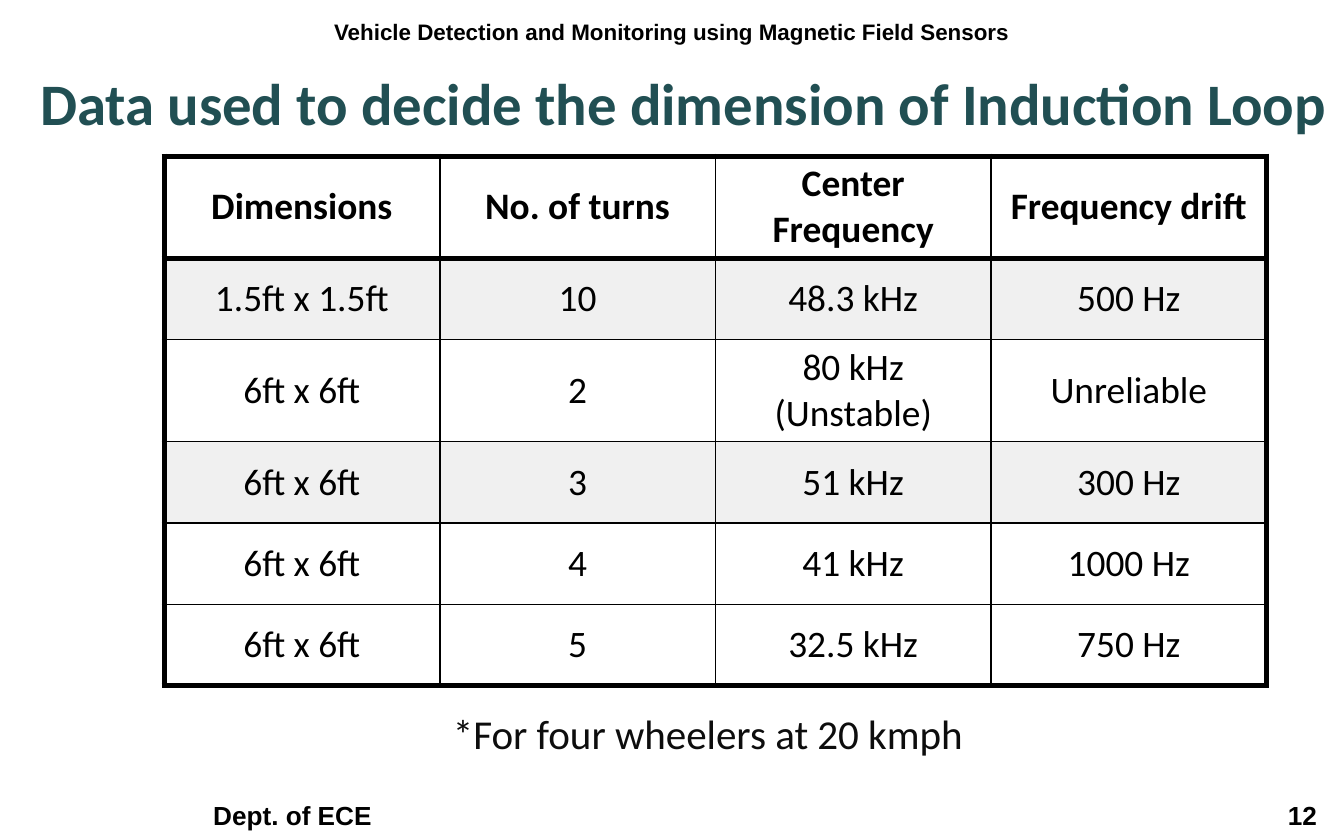
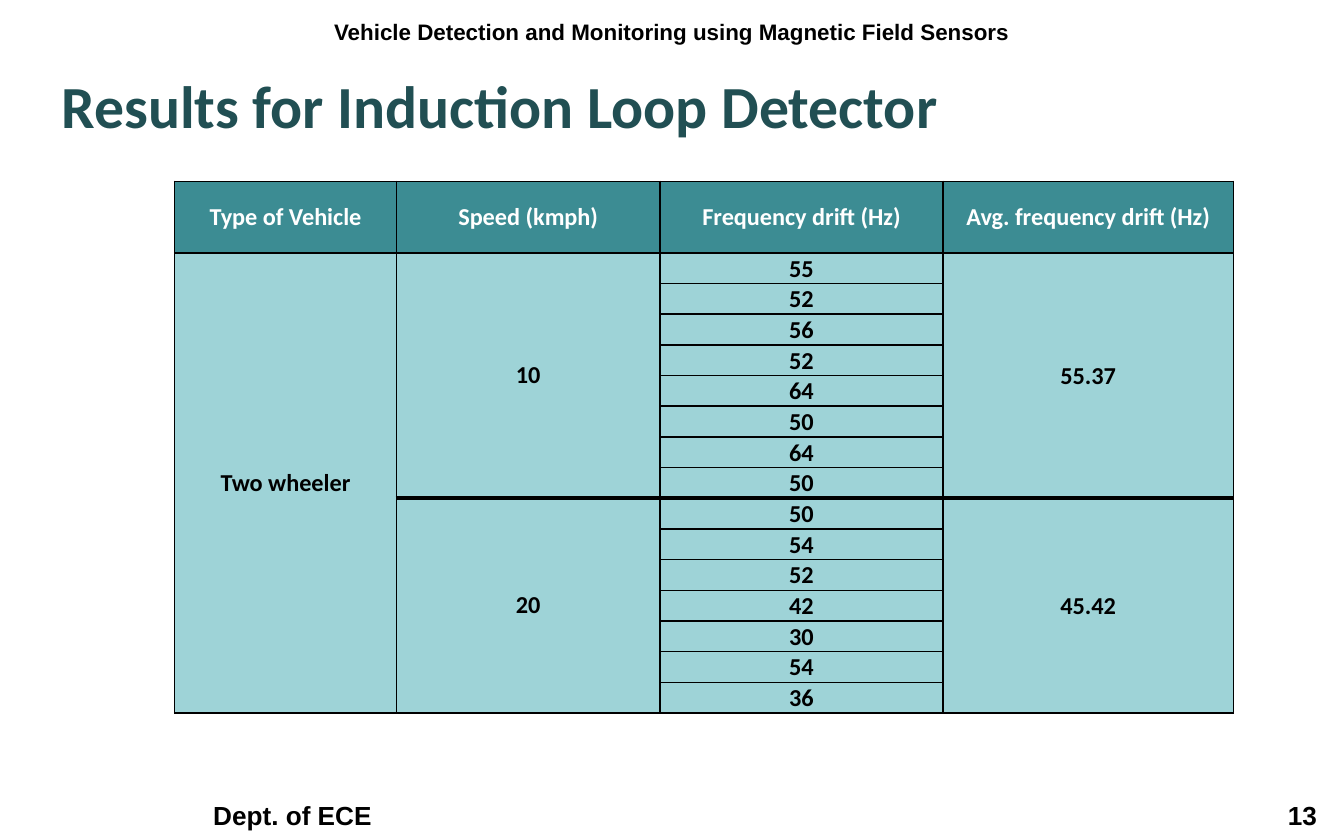
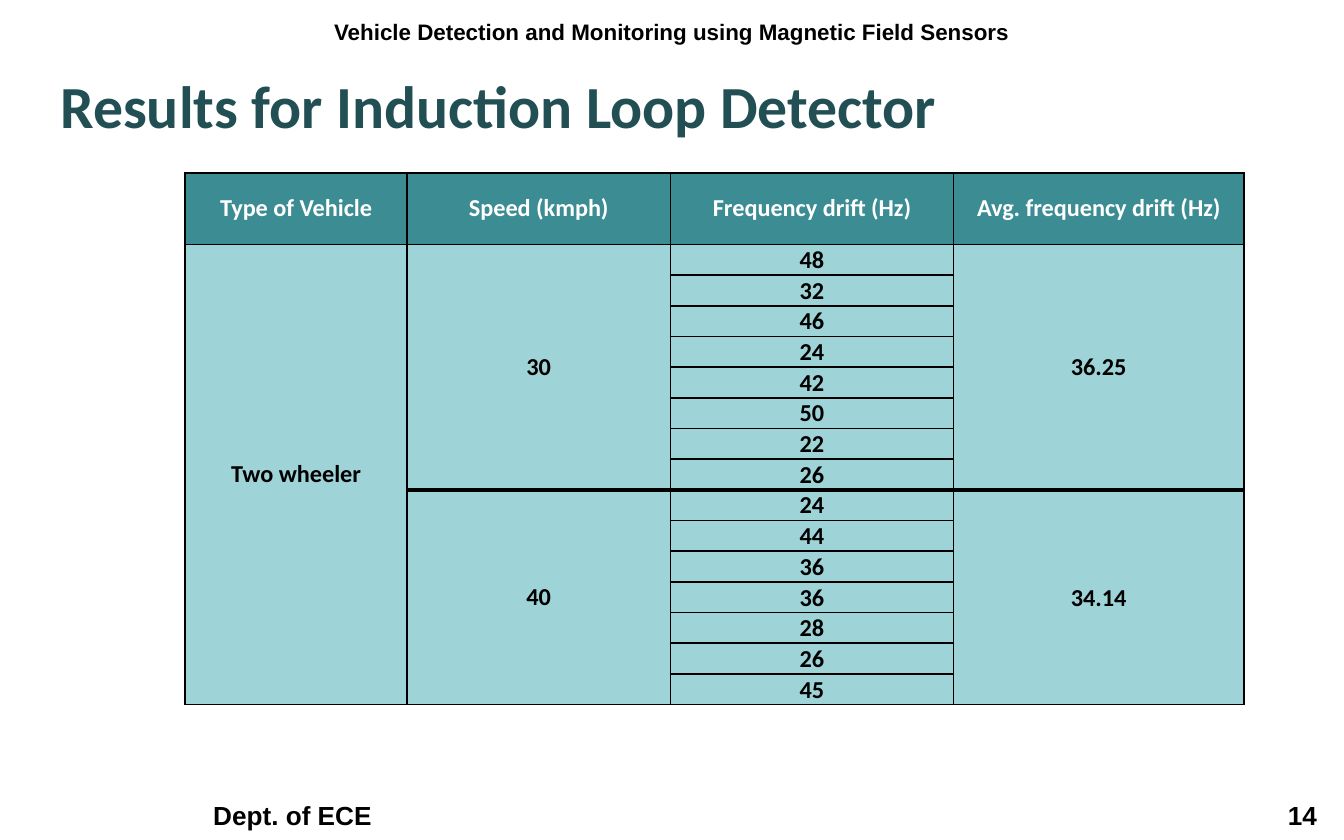
import lxml.etree
import pptx
import pptx.dml.color
import pptx.enum.text
import pptx.oxml.ns
import pptx.util

Cm = pptx.util.Cm
Pt = pptx.util.Pt
Anchor = pptx.enum.text.MSO_ANCHOR
Align = pptx.enum.text.PP_ALIGN

COLORS = {
    "black": "000000",
    "white": "FFFFFF",
    "title": "214F53",
    "note": "0D0D0D",
    "band": "F0F0F0",
    "header": "3C8C93",
    "body": "9ED3D7",
}
FONTS = {
    "title": {"name": "Calibri", "size": Pt(32), "bold": True, "color": "title"},
    "running": {"name": "Arial", "size": Pt(12), "bold": True, "color": "black"},
    "footer": {"name": "Arial", "size": Pt(14), "bold": True, "color": "black"},
    "note": {"name": "Calibri", "size": Pt(22), "bold": False, "color": "note"},
    "loop": {"name": "Calibri", "size": Pt(20), "bold": False, "color": "black"},
    "result": {"name": "Calibri", "size": Pt(13), "bold": True, "color": "black"},
}
WIDE_INSETS = (0.25, 0.1, 0.25, 0.1)
TIGHT_INSETS = (0.02, 0.02, 0.02, 0)
RUNNING_TITLE = "Vehicle Detection and Monitoring using Magnetic Field Sensors"
DEPARTMENT = "Dept. of ECE"
RESULT_COLUMNS = ["Type of Vehicle", "Speed (kmph)", "Frequency drift (Hz)",
                  "Avg. frequency drift (Hz)"]
LOOP_ROWS = [
    ["Dimensions", "No. of turns", "Center Frequency", "Frequency drift"],
    ["1.5ft x 1.5ft", "10", "48.3 kHz", "500 Hz"],
    ["6ft x 6ft", "2", "80 kHz (Unstable)", "Unreliable"],
    ["6ft x 6ft", "3", "51 kHz", "300 Hz"],
    ["6ft x 6ft", "4", "41 kHz", "1000 Hz"],
    ["6ft x 6ft", "5", "32.5 kHz", "750 Hz"],
]


def rgb(color):
    return pptx.dml.color.RGBColor.from_string(COLORS[color])


def set_attributes(target, values):
    for name, value in values.items():
        setattr(target, name, value)


def set_insets(target, insets):
    sides = ("margin_left", "margin_top", "margin_right", "margin_bottom")
    set_attributes(target, dict(zip(sides, map(Cm, insets))))


def write_text(text_frame, text, style, align=Align.LEFT, **changes):
    paragraph = text_frame.paragraphs[0]
    set_attributes(paragraph, {"alignment": align, "space_before": Pt(0)})
    run = paragraph.add_run()
    run.text = text
    values = {**FONTS[style], **changes}
    run.font.color.rgb = rgb(values.pop("color"))
    set_attributes(run.font, values)
    return paragraph


def set_frame(shape, insets, anchor=Anchor.TOP):
    set_attributes(shape.text_frame, {
        "word_wrap": True,
        "auto_size": pptx.enum.text.MSO_AUTO_SIZE.NONE,
        "vertical_anchor": anchor,
    })
    set_insets(shape.text_frame, insets)


def add_text(slide, box, text, style, insets, align=Align.LEFT, anchor=Anchor.TOP):
    shape = slide.shapes.add_textbox(*map(Cm, box))
    set_frame(shape, insets, anchor)
    return write_text(shape.text_frame, text, style, align)


def add_right_tab(paragraph, position):
    tab_list = lxml.etree.SubElement(paragraph._p.get_or_add_pPr(),
                                     pptx.oxml.ns.qn("a:tabLst"))
    lxml.etree.SubElement(tab_list, pptx.oxml.ns.qn("a:tab"),
                          pos=str(Cm(position)), algn="r")


def add_slide(presentation, number, title, box, size=32):
    slide = presentation.slides.add_slide(presentation.slide_layouts[5])
    footer = add_text(slide, (0, 14.99, 25.4, 0.84), f"{DEPARTMENT}\t{number}",
                      "footer", (4.03, 0.13, 0, 0.13), anchor=Anchor.BOTTOM)
    add_right_tab(footer, 20.86)
    add_text(slide, (0, 0.25, 25.4, 0.84), RUNNING_TITLE, "running",
             WIDE_INSETS, Align.CENTER)
    names = ("left", "top", "width", "height")
    set_attributes(slide.shapes.title, dict(zip(names, map(Cm, box))))
    set_frame(slide.shapes.title, (0.25, 0.13, 0.25, 0.13))
    write_text(slide.shapes.title.text_frame, title, "title", size=Pt(size))
    return slide


def set_borders(cell, widths):
    properties = cell._tc.get_or_add_tcPr()
    for side, width in zip("LRTB", widths):
        line = lxml.etree.SubElement(properties, pptx.oxml.ns.qn(f"a:ln{side}"),
                                     w=str(Pt(width)))
        fill = lxml.etree.SubElement(line, pptx.oxml.ns.qn("a:solidFill"))
        lxml.etree.SubElement(fill, pptx.oxml.ns.qn("a:srgbClr"), val=COLORS["black"])


def add_table(slide, left, top, widths, heights):
    shape = slide.shapes.add_table(len(heights), len(widths), Cm(left), Cm(top),
                                   Cm(sum(widths)), Cm(sum(heights)))
    table = shape.table
    set_attributes(table, {"first_row": False, "horz_banding": False})
    for column, width in zip(table.columns, widths):
        column.width = Cm(width)
    for row, height in zip(table.rows, heights):
        row.height = Cm(height)
    return table


def rule_table(table, heavy_rows, heavy_columns):
    for row in range(len(table.rows)):
        for column in range(len(table.columns)):
            cell = table.cell(row, column)
            bottom = row + (cell.span_height if cell.is_merge_origin else 1)
            set_borders(cell, (heavy_columns.get(column, 1),
                               heavy_columns.get(column + 1, 1),
                               heavy_rows.get(row, 1), heavy_rows.get(bottom, 1)))


def fill_cell(cell, text, style, fill, insets=WIDE_INSETS, anchor=Anchor.MIDDLE, **changes):
    set_insets(cell, insets)
    cell.vertical_anchor = anchor
    if fill:
        cell.fill.solid()
        cell.fill.fore_color.rgb = rgb(fill)
    else:
        cell.fill.background()
    if text:
        write_text(cell.text_frame, text, style, Align.CENTER, **changes)


def add_loop_table(slide):
    heights = [1.91, 1.54, 1.91, 1.54, 1.54, 1.54]
    table = add_table(slide, 3.1, 2.95, [5.21] * 4, heights)
    rule_table(table, {0: 3, 1: 3, 6: 3}, {0: 3, 4: 3})
    for row, texts in enumerate(LOOP_ROWS):
        for column, text in enumerate(texts):
            fill_cell(table.cell(row, column), text, "loop",
                      "band" if row in (1, 3) else None, bold=row == 0)


def add_result_table(slide, left, top, vehicle, groups, drift_anchor=Anchor.MIDDLE):
    drifts = [drift for group in groups for drift in group[1]]
    table = add_table(slide, left, top, [4.19, 4.98, 5.35, 5.49],
                      [1.35] + [0.58] * len(drifts))
    texts = {(1, 0): vehicle}
    table.cell(1, 0).merge(table.cell(len(drifts), 0))
    start = 1
    heavy_rows = {}
    for speed, group_drifts, average in groups:
        end = start + len(group_drifts)
        for column, text in ((1, speed), (3, average)):
            texts[start, column] = text
            table.cell(start, column).merge(table.cell(end - 1, column))
        if start > 1:
            heavy_rows[start] = 2.25
        start = end
    texts.update({(row, 2): drift for row, drift in enumerate(drifts, 1)})
    rule_table(table, heavy_rows, {})
    for column, text in enumerate(RESULT_COLUMNS):
        fill_cell(table.cell(0, column), text, "result", "header", color="white")
        for row in range(1, len(drifts) + 1):
            fill_cell(table.cell(row, column), texts.get((row, column)), "result", "body",
                      WIDE_INSETS if column < 2 else TIGHT_INSETS,
                      drift_anchor if column == 2 else Anchor.MIDDLE)


def main():
    presentation = pptx.Presentation()
    set_attributes(presentation, {"slide_width": Cm(25.4), "slide_height": Cm(15.88)})

    slide = add_slide(presentation, 12, "Data used to decide the dimension of Induction Loop",
                      (0.51, 1.14, 24.89, 1.35), 31.5)
    add_loop_table(slide)
    add_text(slide, (8.31, 13.26, 11.81, 0.91), "*For four wheelers at 20 kmph",
             "note", (0.25, 0.13, 0.25, 0.13))

    result_title = "Results for Induction Loop Detector"
    slide = add_slide(presentation, 13, result_title, (0.91, 1.17, 23.93, 1.42))
    add_result_table(slide, 3.3, 3.43, "Two wheeler", [
        ("10", ["55", "52", "56", "52", "64", "50", "64", "50"], "55.37"),
        ("20", ["50", "54", "52", "42", "30", "54", "36"], "45.42"),
    ])

    slide = add_slide(presentation, 14, result_title, (0.89, 1.17, 23.93, 1.42))
    add_result_table(slide, 3.5, 3.27, "Two wheeler", [
        ("30", ["48", "32", "46", "24", "42", "50", "22", "26"], "36.25"),
        ("40", ["24", "44", "36", "36", "28", "26", "45"], "34.14"),
    ], Anchor.BOTTOM)

    presentation.save("out.pptx")


if __name__ == "__main__":
    main()
